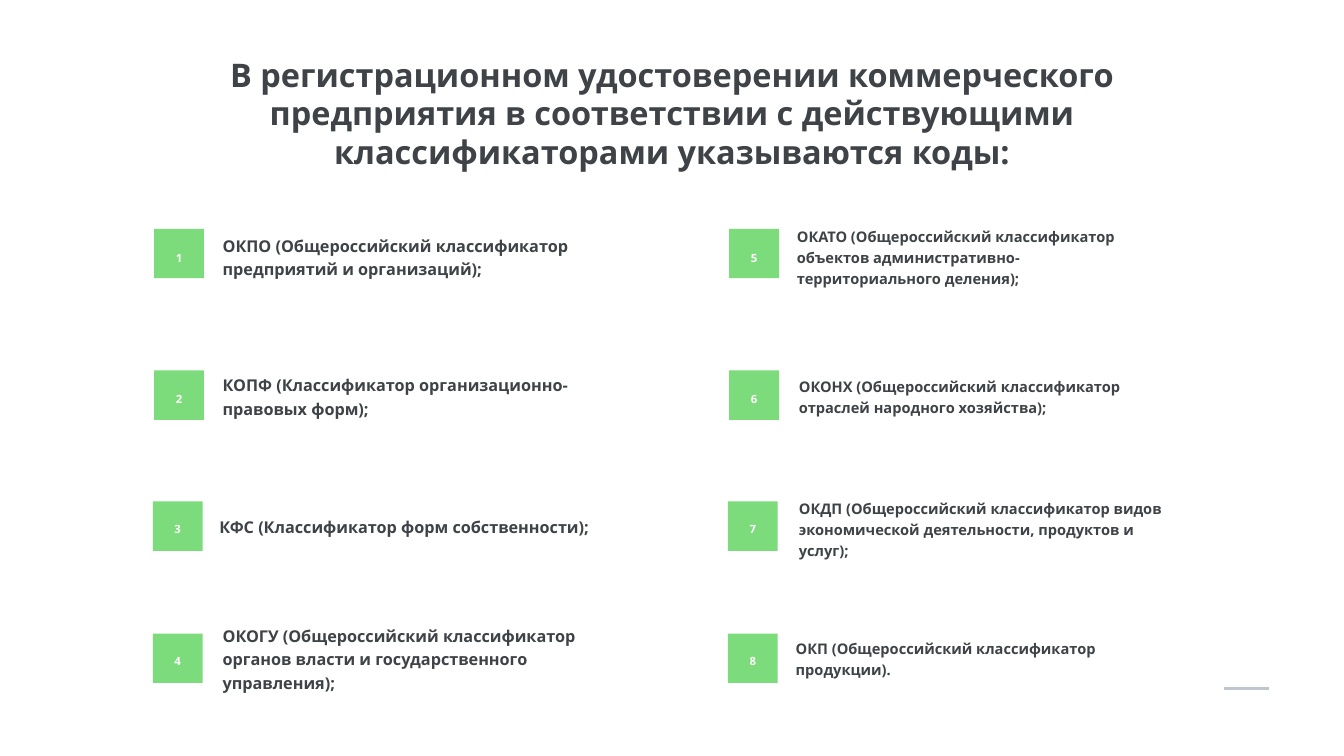
"""Build a slide listing the classifier codes of a registration certificate."""
from dataclasses import dataclass
from typing import Any

from lxml.etree import SubElement
from pptx import Presentation
from pptx.dml.color import RGBColor
from pptx.enum.shapes import MSO_CONNECTOR as Connector, MSO_SHAPE as Shape
from pptx.enum.text import MSO_ANCHOR as Anchor, MSO_AUTO_SIZE as Fit, PP_ALIGN as Align
from pptx.oxml.ns import qn
from pptx.util import Cm, Pt

COLORS = {"ink": "3F4347", "badge": "7CDB7A", "number": "FFFFFF", "rule": "C0C6CD"}
TITLE = ("В регистрационном удостоверении коммерческого предприятия "
         "в соответствии с действующими классификаторами указываются коды:")
BADGE_WIDTH, BADGE_HEIGHT = 2.51, 2.49
COLUMN_STEP = 28.98
ROWS = [(7.77, 11.53, 12.73), (7.77, 18.67, 19.81), (7.7, 25.27, 26.39), (7.7, 31.93, 33.02)]
CODES = [
    (40, [
        ("ОКПО (Общероссийский классификатор предприятий и организаций);",
         (11.07, 12.45, 21.18, 1.93)),
        ("КОПФ (Классификатор организационно-правовых форм);",
         (11.07, 19.48, 21.18, 1.93)),
        ("КФС (Классификатор форм собственности);",
         (10.9, 26.44, 21.82, 1.12)),
        ("ОКОГУ (Общероссийский классификатор органов власти и государственного управления);",
         (11.07, 32.31, 21.18, 2.72)),
    ]),
    (36, [
        ("ОКАТО (Общероссийский классификатор объектов административно-территориального деления);",
         (40.01, 12.14, 18.72, 2.49)),
        ("ОКОНХ (Общероссийский классификатор отраслей народного хозяйства);",
         (40.11, 19.53, 19.51, 1.75)),
        ("ОКДП (Общероссийский классификатор видов экономической деятельности, продуктов и услуг);",
         (40.11, 25.83, 19.66, 2.49)),
        ("ОКП (Общероссийский классификатор продукции).",
         (39.95, 32.74, 17.98, 1.75)),
    ]),
]


def color(name):
    return RGBColor.from_string(COLORS[name])


def write(frame, text, *, size, font, raised, ink="ink", align=Align.LEFT,
          spacing=1.0, fit=Fit.SHAPE_TO_FIT_TEXT):
    frame.word_wrap = True
    frame.auto_size = fit
    frame.vertical_anchor = Anchor.MIDDLE
    frame.margin_left = frame.margin_right = Cm(0.15)
    frame.margin_top = frame.margin_bottom = Cm(0.15)
    paragraph = frame.paragraphs[0]
    paragraph.alignment = align
    paragraph.line_spacing = spacing
    run = paragraph.add_run()
    run.text = text
    run.font.name = font
    run.font.size = Pt(size)
    run.font.bold = True
    run.font.color.rgb = color(ink)
    run._r.get_or_add_rPr().set("baseline", str(raised * 1000))


@dataclass
class Sheet:
    slide: Any
    font: str = "Open Sans"

    def title(self, text, box):
        heading = self.slide.shapes.title
        heading.left, heading.top, heading.width, heading.height = map(Cm, box)
        write(heading.text_frame, text, size=80, font=self.font, raised=9,
              align=Align.CENTER, spacing=Pt(55), fit=Fit.NONE)

    def label(self, text, box, **style):
        frame = self.slide.shapes.add_textbox(*map(Cm, box)).text_frame
        write(frame, text, font=self.font, **style)

    def badge(self, number, left, top, number_top):
        square = self.slide.shapes.add_shape(
            Shape.RECTANGLE, *map(Cm, (left, top, BADGE_WIDTH, BADGE_HEIGHT)))
        square.shadow.inherit = False
        square.fill.solid()
        square.fill.fore_color.rgb = color("badge")
        square.line.fill.background()
        self.label(str(number), (left, number_top, BADGE_WIDTH, 1.09),
                   size=28, raised=43, ink="number", align=Align.CENTER)

    def rule(self, left, right, top):
        stroke = self.slide.shapes.add_connector(
            Connector.STRAIGHT, Cm(left), Cm(top), Cm(right), Cm(top))
        stroke.line.color.rgb = color("rule")
        stroke.line.width = Pt(4)
        SubElement(stroke._element.spPr, qn("a:effectLst"))


def main():
    deck = Presentation()
    deck.slide_width, deck.slide_height = Cm(67.73), Cm(38.1)
    sheet = Sheet(deck.slides.add_slide(deck.slide_layouts[5]))
    sheet.rule(61.67, 63.93, 34.7)
    sheet.title(TITLE, (7.57, 3.4, 52.58, 5.56))
    for column, (size, entries) in enumerate(CODES):
        for row, (code, box) in enumerate(entries):
            left, top, number_top = ROWS[row]
            sheet.badge(column * len(ROWS) + row + 1,
                        left + column * COLUMN_STEP, top, number_top)
            sheet.label(code, box, size=size, raised=33, spacing=0.7)
    deck.save("out.pptx")


if __name__ == "__main__":
    main()
